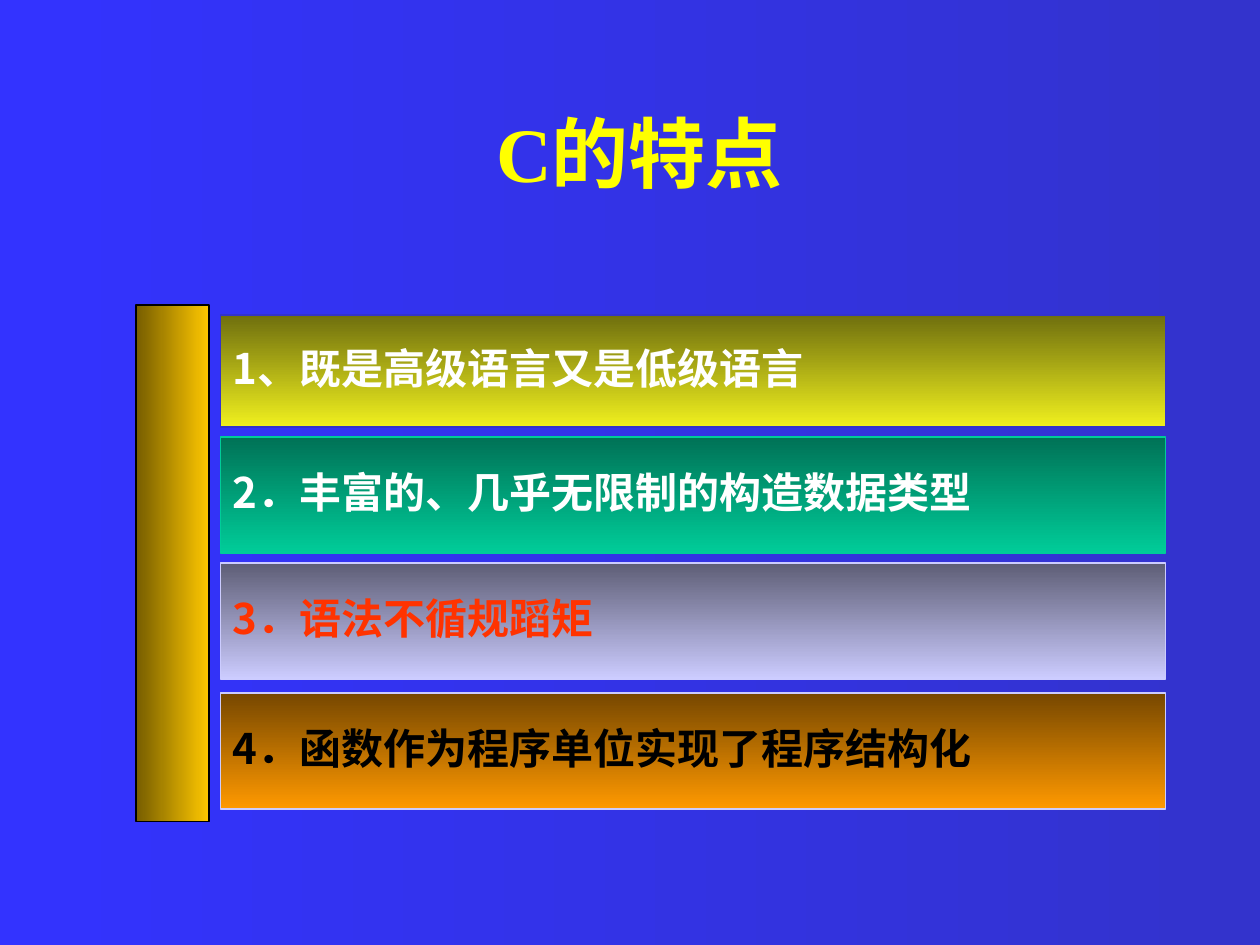
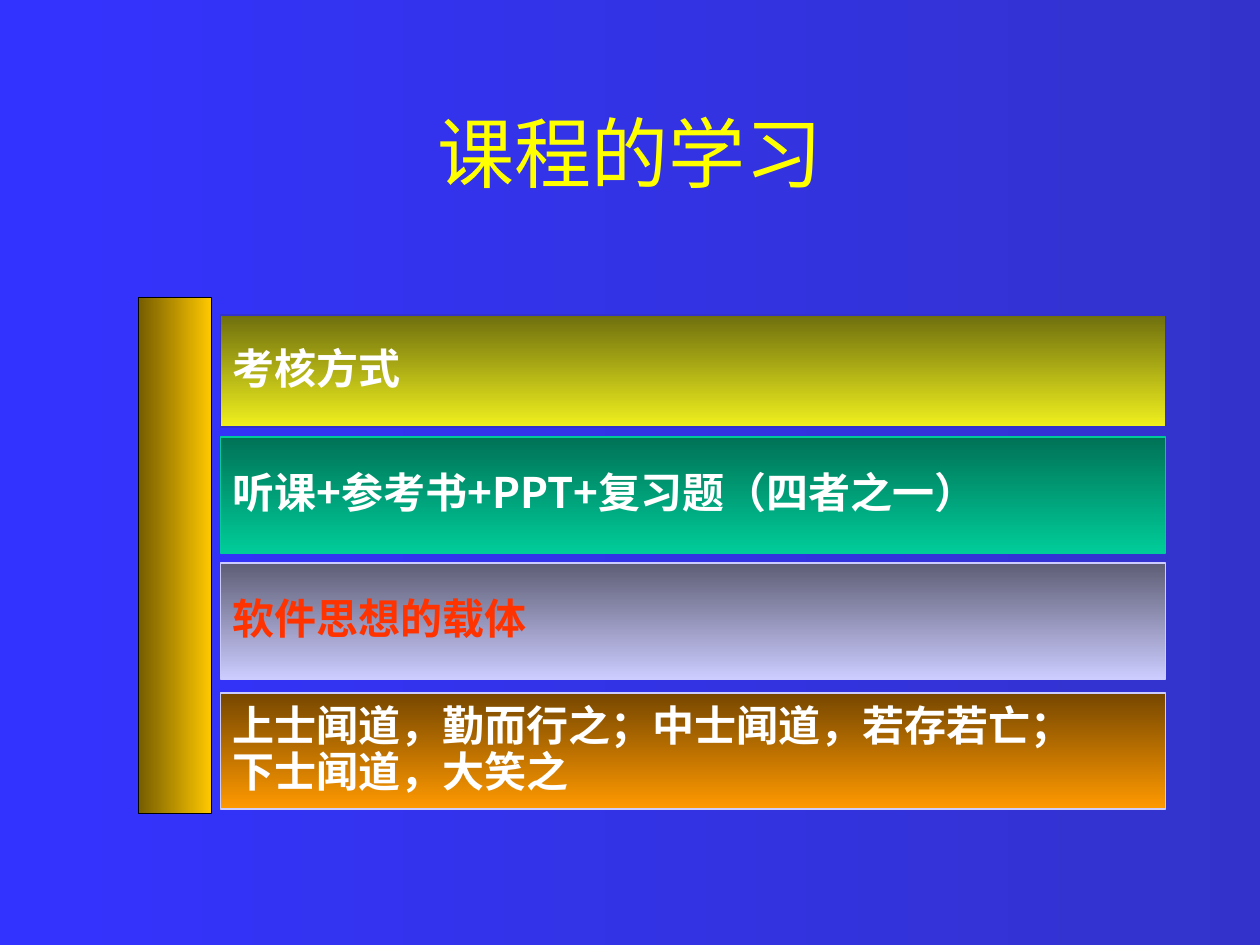
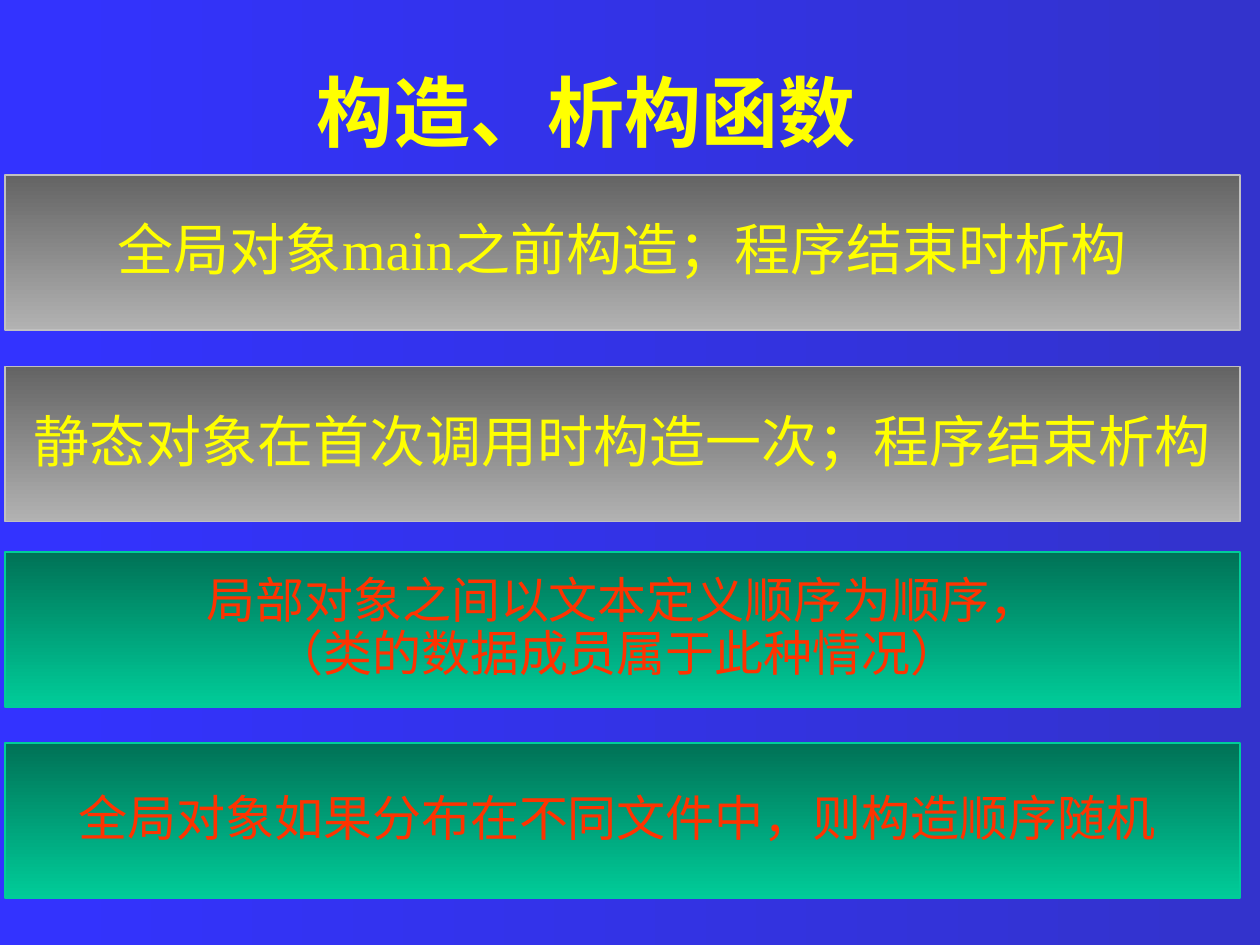
from lxml import etree
from pptx import Presentation
from pptx import util as u
from pptx.dml import color
from pptx.enum import shapes, text
from pptx.oxml import ns

COLORS = {
    "yellow": "FFFF00",
    "white": "FFFFFF",
    "black": "000000",
    "red": "FF3300",
    "blue": "3333CC",
    "green": "00CC99",
    "lilac": "CCCCFF",
    "silver": "C0C0C0",
}
# Start and end colour of each gradient
GRADIENTS = {
    "backdrop": ("3333FF", "3333CC"),
    "gold": ("765D00", "FFC800"),
    "olive": ("6F6F0E", "F0F01E"),
    "green": ("007256", "00CC99"),
    "lilac": ("5E5E76", "CCCCFF"),
    "orange": ("764700", "FF9900"),
    "gray": ("646464", "B2B2B2"),
}
SERIF = "Times New Roman"
SANS = "Noto Sans CJK SC"
RIGHTWARD, DOWNWARD = 0, 270
LEFT, CENTER = text.PP_ALIGN.LEFT, text.PP_ALIGN.CENTER

# Top, height, gradient and outline of the four feature bars
FEATURE_BARS = [
    (2.5, 0.89, "olive", "blue"),
    (3.47, 0.92, "green", "green"),
    (4.47, 0.92, "lilac", "lilac"),
    (5.5, 0.92, "orange", "lilac"),
]


def rgb(name):
    return color.RGBColor.from_string(COLORS[name])


class Slides:
    """Holds the shared style and the current slide."""

    def __init__(self):
        self.deck = Presentation()
        self.deck.slide_width = u.Inches(10)
        self.deck.slide_height = u.Inches(7.5)
        self.page = None

    def add_page(self):
        self.page = self.deck.slides.add_slide(self.deck.slide_layouts[6])
        self.gradient(self.page.background.fill, "backdrop", RIGHTWARD)

    def gradient(self, fill, name, angle):
        fill.gradient()
        fill.gradient_angle = angle
        for stop, value in zip(fill.gradient_stops, GRADIENTS[name]):
            stop.color.rgb = color.RGBColor.from_string(value)

    def add_lines(self, box, lines, size, ink, font, bold=False, align=CENTER,
                  spacing=1.0, wrap=False):
        frame = box.text_frame
        frame.word_wrap = wrap
        frame.vertical_anchor = text.MSO_ANCHOR.MIDDLE
        for index, line in enumerate(lines):
            para = frame.add_paragraph() if index else frame.paragraphs[0]
            para.alignment = align
            para.line_spacing = spacing
            span = para.add_run()
            span.text = line
            span.font.size = u.Pt(size)
            span.font.bold = bold
            span.font.color.rgb = rgb(ink)
            span.font.name = font
            east_asian = etree.SubElement(span.font._element, ns.qn("a:ea"))
            east_asian.set("typeface", SANS)

    def title(self, words, left=0, top=0.58, height=1.25, bold=True):
        box = self.page.shapes.add_textbox(
            u.Inches(left), u.Inches(top), u.Inches(10), u.Inches(height))
        self.add_lines(box, [words], 44, "yellow", SERIF, bold, wrap=True)

    def bar(self, left, top, width, height, fill, line, angle=DOWNWARD, weight=1):
        box = self.page.shapes.add_shape(
            shapes.MSO_SHAPE.RECTANGLE, u.Inches(left), u.Inches(top),
            u.Inches(width), u.Inches(height))
        box.shadow.inherit = False
        self.gradient(box.fill, fill, angle)
        box.line.color.rgb = rgb(line)
        box.line.width = u.Pt(weight)
        return box

    def feature_list(self, post_left, post_top, features):
        # Upright gold post, then one bar for each feature
        self.bar(post_left, post_top, 0.58, 4.1, "gold", "black", RIGHTWARD, 0.75)
        for (top, height, fill, line), (ink, *lines) in zip(FEATURE_BARS, features):
            box = self.bar(1.75, top, 7.5, height, fill, line)
            self.add_lines(box, lines, 24, ink, SANS, True, LEFT, 0.9)

    def rule(self, top, fill, line, size, ink, lines):
        box = self.bar(0.04, top, 9.8, 1.23, fill, line)
        self.add_lines(box, lines, size, ink, SERIF, spacing=0.9)


def main():
    show = Slides()

    # Features of C
    show.add_page()
    show.title(" C的特点")
    show.feature_list(1.08, 2.42, [
        ("white", "1、既是高级语言又是低级语言"),
        ("white", "2．丰富的、几乎无限制的构造数据类型"),
        ("red", "3．语法不循规蹈矩"),
        ("black", "4．函数作为程序单位实现了程序结构化"),
    ])

    # Studying the course
    show.add_page()
    show.title("课程的学习", bold=False)
    show.feature_list(1.1, 2.36, [
        ("white", "考核方式"),
        ("white", "听课+参考书+PPT+复习题（四者之一）"),
        ("red", "软件思想的载体"),
        ("white", "上士闻道，勤而行之；中士闻道，若存若亡；", "下士闻道，大笑之"),
    ])

    # Constructors and destructors
    show.add_page()
    show.title("构造、析构函数 ", left=-0.28, top=0.52, height=0.71)
    lifetime = ("gray", "silver", 32, "yellow")
    order = ("green", "green", 28, "red")
    show.rule(1.39, *lifetime, ["全局对象main之前构造；程序结束时析构"])
    show.rule(2.91, *lifetime, ["静态对象在首次调用时构造一次；程序结束析构"])
    show.rule(4.38, *order, ["局部对象之间以文本定义顺序为顺序，",
                             "（类的数据成员属于此种情况） "])
    show.rule(5.9, *order, ["全局对象如果分布在不同文件中，则构造顺序随机 "])

    show.deck.save("out.pptx")


if __name__ == "__main__":
    main()
